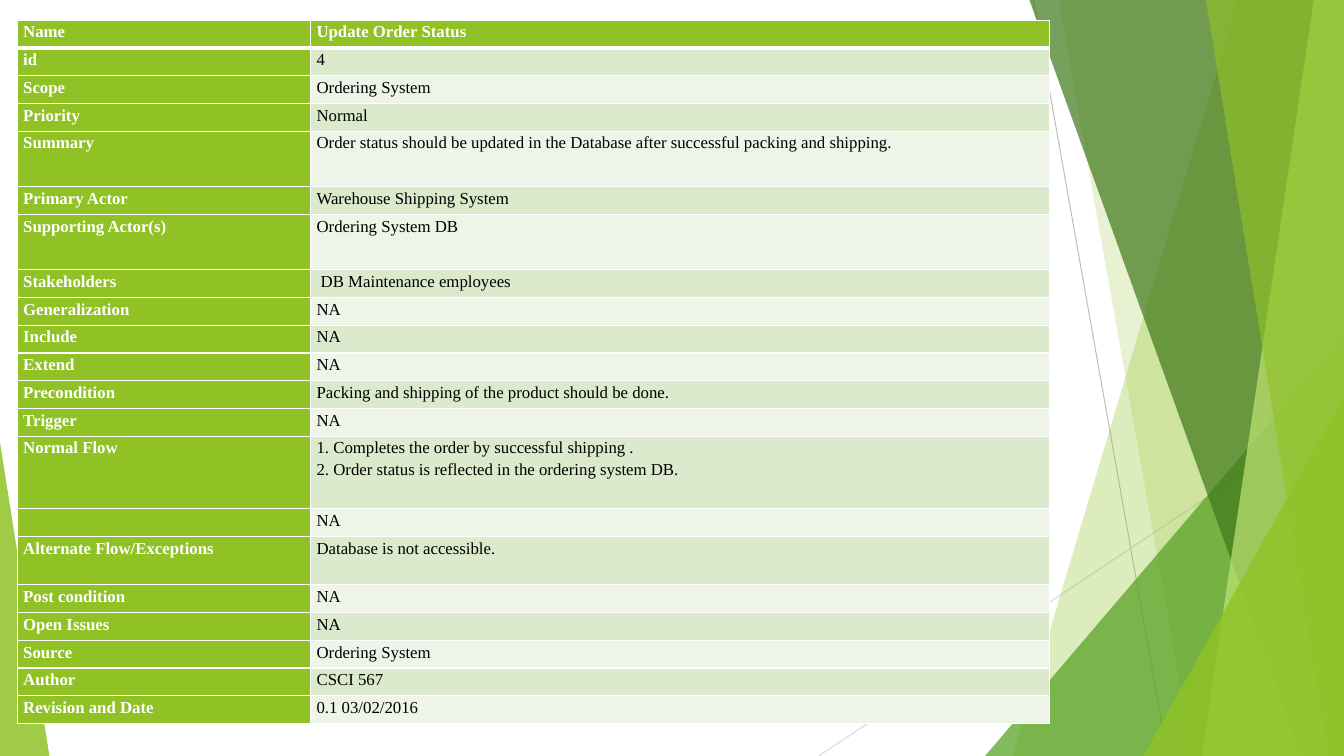
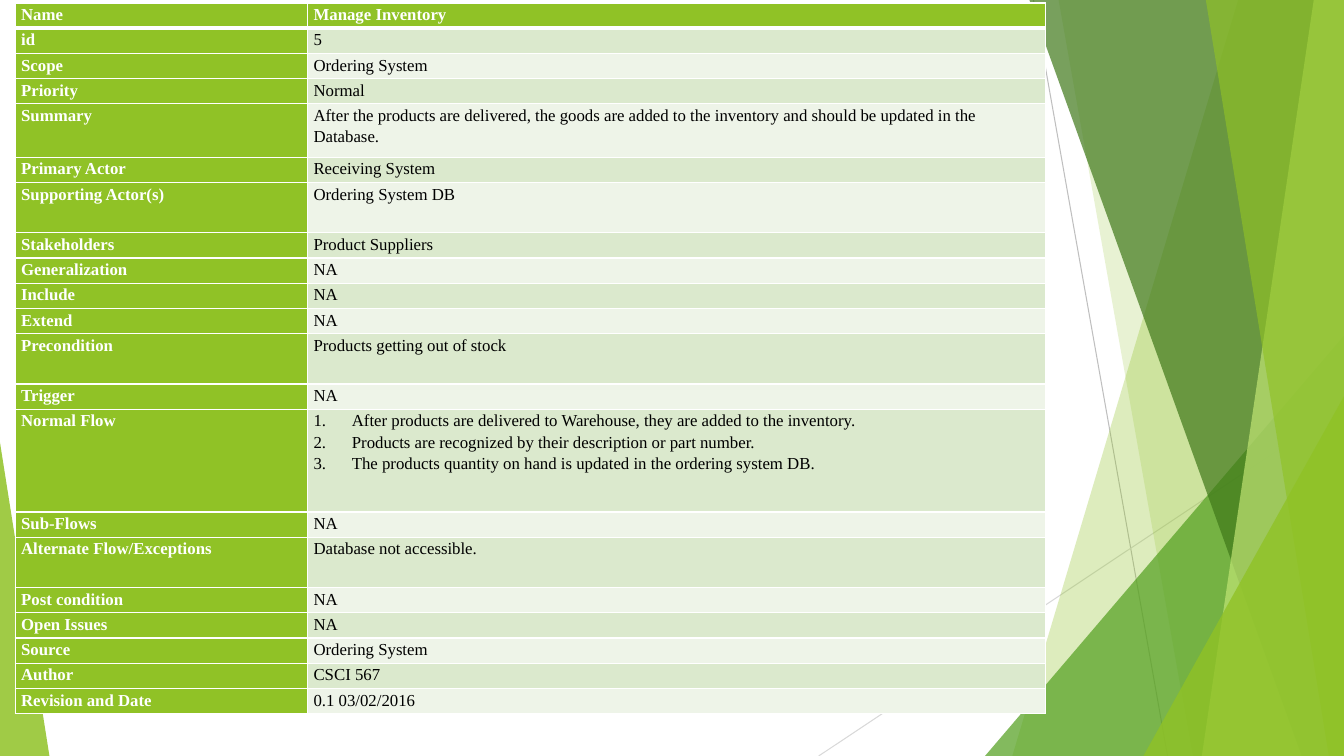
from lxml import etree
from pptx import Presentation
from pptx import util as u
from pptx.dml.color import RGBColor
from pptx.enum import shapes
from pptx.oxml.ns import qn

WIDTH, HEIGHT = 13.33, 7.5
FONT, SIZE = "Times New Roman", 12
LIME, GREEN, FOREST, PALE = "90C226", "54A021", "3F7819", "C0E474"
WHITE, BLACK = "FFFFFF", "000000"
ROW_BANDS = "EEF4E8", "DBE9CD"

# Back to front: a band is (top left x, bottom left x) and runs to the right
# edge; a triangle is (left, top, width, apex) and stands on the bottom edge.
BACKDROP = [
    ("band", (12.28, 10.04), LIME, 30),
    ("band", (10.5, 11.83), LIME, 20),
    ("triangle", (9.77, 3.33, 3.56, 1), GREEN, 72),
    ("band", (10.21, 12.91), FOREST, 70),
    ("band", (13.03, 11.92), PALE, 70),
    ("band", (11.96, 13.18), LIME, 65),
    ("triangle", (11.34, 3.93, 1.99, 1), LIME, 80),
    ("triangle", (0, 4.39, 0.49, 0), LIME, 85),
]

FIELDS = [
    "Name", "id", "Scope", "Priority", "Summary", "Primary Actor",
    "Supporting Actor(s)", "Stakeholders", "Generalization", "Include",
    "Extend", "Precondition", "Trigger", "Normal Flow", "Sub-Flows",
    "Alternate Flow/Exceptions", "Post condition", "Open Issues", "Source",
    "Author", "Revision and Date",
]
COMMON = {
    "Scope": "Ordering System",
    "Priority": "Normal",
    "Supporting Actor(s)": "Ordering System DB",
    "Source": "Ordering System",
    "Author": "CSCI 567",
    "Revision and Date": "0.1 03/02/2016",
}
UPDATE_STATUS = COMMON | {
    "Name": "Update Order Status",
    "id": "4",
    "Summary": "Order status should be updated in the Database after "
               "successful packing and shipping.",
    "Primary Actor": "Warehouse Shipping System",
    "Stakeholders": " DB Maintenance employees",
    "Precondition": "Packing and shipping of the product should be done.",
    "Normal Flow": "1. Completes the order by successful shipping .\n"
                   "2. Order status is reflected in the ordering system DB.",
    "Alternate Flow/Exceptions": "Database is not accessible.",
}
MANAGE_INVENTORY = COMMON | {
    "Name": "Manage Inventory",
    "id": "5",
    "Summary": "After the products are delivered, the goods are added to the "
               "inventory and should be updated in the Database.",
    "Primary Actor": "Receiving System",
    "Stakeholders": "Product Suppliers",
    "Precondition": "Products getting out of stock",
    "Normal Flow": "After products are delivered to Warehouse, they are added "
                   "to the inventory.\n"
                   "Products are recognized by their description or part number.\n"
                   "The products quantity on hand is updated in the ordering "
                   "system DB.",
    "Alternate Flow/Exceptions": "Database not accessible.",
}


def rgb(color):
    return RGBColor.from_string(color)


def paint(sp, color, opacity):
    """Give a shape a translucent fill, no outline and no shadow."""
    sp.shadow.inherit = False
    sp.line.fill.background()
    sp.fill.solid()
    sp.fill.fore_color.rgb = rgb(color)
    clr = sp._element.spPr.find(qn("a:solidFill")).find(qn("a:srgbClr"))
    etree.SubElement(clr, qn("a:alpha"), val=str(opacity * 1000))


def add_line(s, start, end, color):
    line = s.shapes.add_connector(
        shapes.MSO_CONNECTOR.STRAIGHT, *map(u.Inches, start + end))
    line.line.color.rgb = rgb(color)
    line.line.width = u.Pt(0.75)
    etree.SubElement(line._element.spPr, qn("a:effectLst"))


def add_band(s, top_x, bottom_x):
    corners = [(WIDTH, 0), (WIDTH, HEIGHT), (bottom_x, HEIGHT)]
    outline = s.shapes.build_freeform(u.Inches(top_x), 0)
    outline.add_line_segments([(u.Inches(x), u.Inches(y)) for x, y in corners])
    return outline.convert_to_shape()


def add_triangle(s, left, top, width, apex):
    sp = s.shapes.add_shape(
        shapes.MSO_SHAPE.ISOSCELES_TRIANGLE,
        *map(u.Inches, (left, top, width, HEIGHT - top)))
    sp.adjustments[0] = apex
    return sp


def add_backdrop(s):
    add_line(s, (10.25, 0), (11.58, HEIGHT), "BFBFBF")
    add_line(s, (WIDTH, 4.03), (8.12, HEIGHT), "D9D9D9")
    builders = {"band": add_band, "triangle": add_triangle}
    for kind, geometry, color, opacity in BACKDROP:
        paint(builders[kind](s, *geometry), color, opacity)


def add_borders(cell, top, bottom):
    """Draw white cell edges; call before filling, as the schema orders them."""
    tcPr = cell._tc.get_or_add_tcPr()
    for side, width in (("L", 1), ("R", 1), ("T", top), ("B", bottom)):
        ln = etree.SubElement(tcPr, qn(f"a:ln{side}"), w=str(u.Pt(width)))
        fill = etree.SubElement(ln, qn("a:solidFill"))
        etree.SubElement(fill, qn("a:srgbClr"), val=WHITE)


def number_paragraph(p):
    pPr = p._p.get_or_add_pPr()
    pPr.set("marL", str(u.Inches(0.38)))
    pPr.set("indent", str(u.Inches(-0.38)))
    etree.SubElement(pPr, qn("a:buFont"), typeface="+mj-lt")
    etree.SubElement(pPr, qn("a:buAutoNum"), type="arabicPeriod")


def write_cell(cell, content, color, bold, numbered):
    cell.margin_left = cell.margin_right = u.Inches(0.06)
    cell.margin_top = cell.margin_bottom = 0
    tf = cell.text_frame
    for i, line in enumerate(content.split("\n")):
        p = tf.add_paragraph() if i else tf.paragraphs[0]
        p.line_spacing = 1.15
        if numbered:
            number_paragraph(p)
        if not line:
            etree.SubElement(p._p, qn("a:endParaRPr"), sz=str(SIZE * 100))
            continue
        r = p.add_run()
        r.text = line
        r.font.name, r.font.size = FONT, u.Pt(SIZE)
        r.font.bold = bold
        r.font.color.rgb = rgb(color)


def add_use_case(s, use_case, box, label_width, tall_rows,
                 blank_label=None, numbered_field=None):
    """Add the table; rows not in tall_rows share the remaining height."""
    _, _, width, height = box
    table = s.shapes.add_table(len(FIELDS), 2, *map(u.Inches, box)).table
    table.first_row = table.horz_banding = False
    table.columns[0].width = u.Inches(label_width)
    table.columns[1].width = u.Inches(width - label_width)
    row_height = (height - sum(tall_rows.values())) / (len(FIELDS) - len(tall_rows))

    for i, field in enumerate(FIELDS):
        table.rows[i].height = u.Inches(tall_rows.get(field, row_height))
        label = "" if field == blank_label else field
        for j, content in enumerate((label, use_case.get(field, "NA"))):
            cell = table.cell(i, j)
            heading = i == 0 or j == 0
            add_borders(cell, top=3 if i == 1 else 1, bottom=3 if i == 0 else 1)
            cell.fill.solid()
            cell.fill.fore_color.rgb = rgb(LIME if heading else ROW_BANDS[i % 2])
            write_cell(cell, content, WHITE if heading else BLACK, heading,
                       numbered=j == 1 and field == numbered_field)


def add_slide(prs):
    s = prs.slides.add_slide(prs.slide_layouts[6])
    add_backdrop(s)
    return s


def main():
    prs = Presentation()
    prs.slide_width, prs.slide_height = u.Inches(WIDTH), u.Inches(HEIGHT)

    add_use_case(
        add_slide(prs), UPDATE_STATUS, (0.17, 0.2, 10.24, 6.98), 2.91,
        {"Summary": 0.55, "Supporting Actor(s)": 0.55, "Normal Flow": 0.72,
         "Alternate Flow/Exceptions": 0.48},
        blank_label="Sub-Flows")
    add_use_case(
        add_slide(prs), MANAGE_INVENTORY, (0.15, 0.03, 10.22, 7.05), 2.9,
        {"Summary": 0.53, "Supporting Actor(s)": 0.5, "Precondition": 0.5,
         "Normal Flow": 1.02, "Alternate Flow/Exceptions": 0.5},
        numbered_field="Normal Flow")

    prs.save("out.pptx")


if __name__ == "__main__":
    main()
